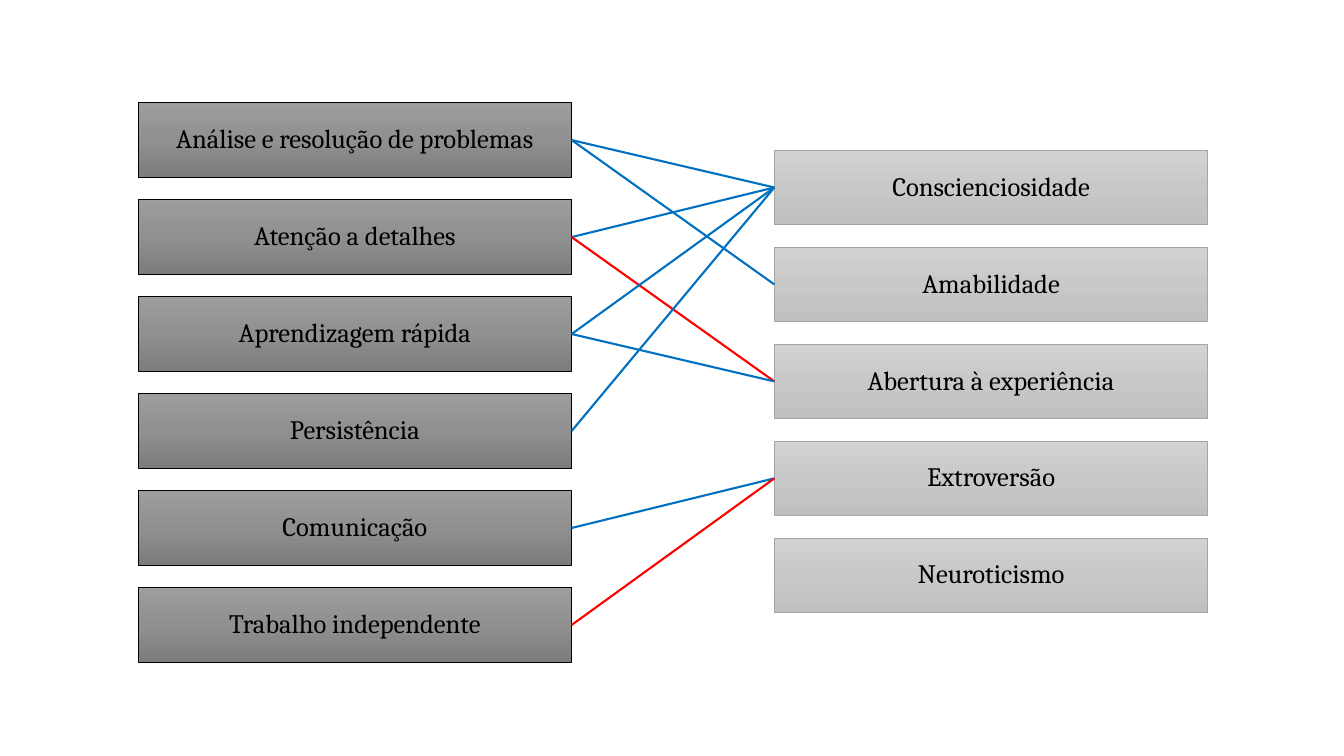
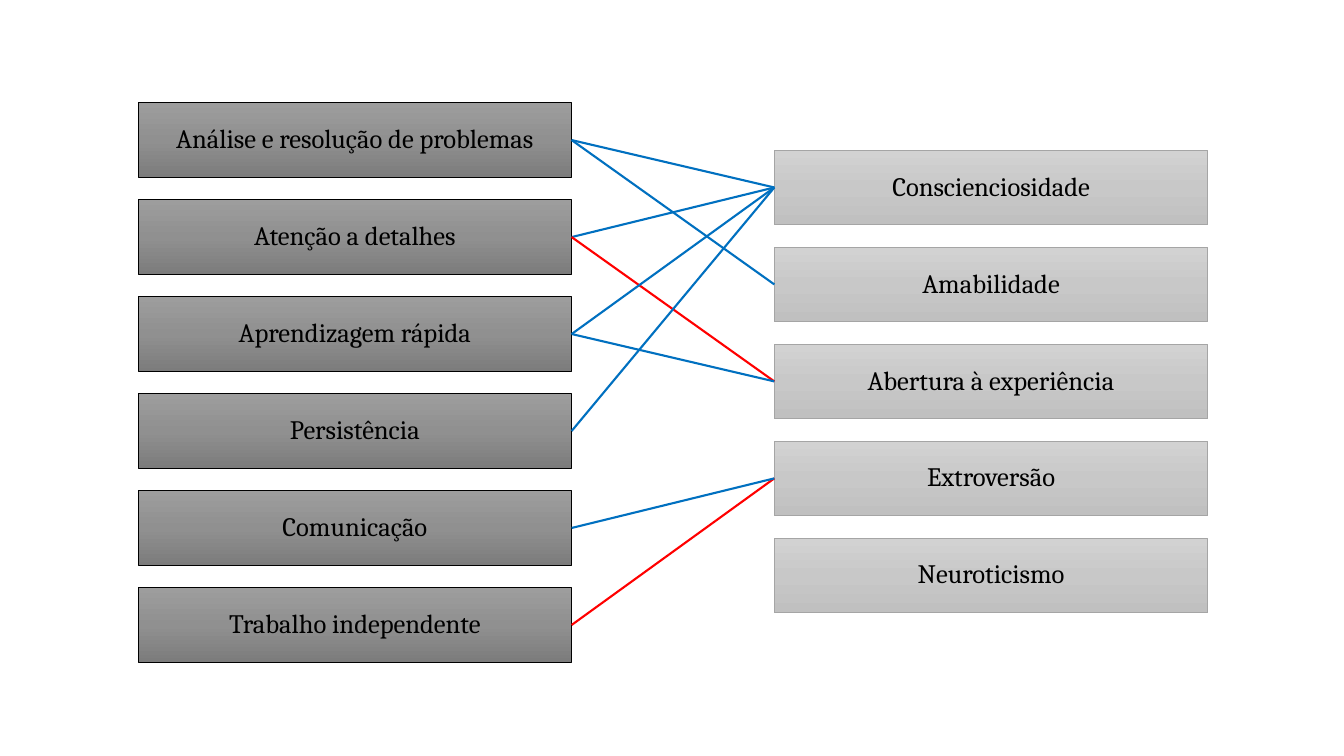
from copy import deepcopy

from pptx import Presentation
from pptx.dml.color import RGBColor
from pptx.enum.shapes import MSO_CONNECTOR, MSO_SHAPE
from pptx.enum.text import MSO_ANCHOR, PP_ALIGN
from pptx.oxml.ns import qn
from pptx.util import Inches, Pt
from lxml import etree

RECT = MSO_SHAPE.RECTANGLE
STRAIGHT = MSO_CONNECTOR.STRAIGHT
MIDDLE = MSO_ANCHOR.MIDDLE
CENTER = PP_ALIGN.CENTER
LEFT_SIDE, RIGHT_SIDE = 1, 3

COLORS = {"text": "000000", "positive": "0070C0", "negative": "FF0000"}
FONT = "Cambria"
BOX_W, BOX_H, PITCH = 4.3, 0.74, 0.962

COLUMNS = [
    {
        "left": 1.37, "top": 1.02, "line": "000000",
        "gradient": ["9D9D9D", "909090", "7C7C7C"],
        "labels": ["Análise e resolução de problemas", "Atenção a detalhes",
                   "Aprendizagem rápida", "Persistência", "Comunicação",
                   "Trabalho independente"],
    },
    {
        "left": 7.68, "top": 1.49, "line": "A5A5A5",
        "gradient": ["D2D2D2", "C8C8C8", "C0C0C0"],
        "labels": ["Conscienciosidade", "Amabilidade", "Abertura à experiência",
                   "Extroversão", "Neuroticismo"],
    },
]

# (skill row, trait row) from back to front, one list per slide
SLIDE_LINKS = [
    [(0, 0), (1, 0), (0, 1), (1, 2), (2, 0), (3, 0), (4, 3), (5, 3), (2, 2)],
    [(0, 0), (1, 0), (0, 1), (1, 2), (5, 3), (2, 0), (2, 2), (3, 0), (4, 3)],
]
NEGATIVE_LINKS = {(1, 2), (5, 3)}


def rgb(hex_color):
    return RGBColor.from_string(hex_color)


def fill_gradient(shape, hex_colors):
    """Vertical gradient with three evenly spaced stops."""
    fill = shape.fill
    fill.gradient()
    fill.gradient_angle = 270
    stop_list = shape._element.spPr.find(".//" + qn("a:gsLst"))
    stop_list.append(deepcopy(stop_list[0]))
    for i, (stop, color) in enumerate(zip(fill.gradient_stops, hex_colors)):
        stop.position = i / 2
        stop.color.rgb = rgb(color)


def add_box(s, column, row):
    sp = s.shapes.add_shape(RECT, Inches(column["left"]),
                            Inches(column["top"] + row * PITCH),
                            Inches(BOX_W), Inches(BOX_H))
    sp.shadow.inherit = False
    fill_gradient(sp, column["gradient"])
    sp.line.color.rgb = rgb(column["line"])
    sp.line.width = Pt(0.5)
    tf = sp.text_frame
    tf.word_wrap = True
    tf.vertical_anchor = MIDDLE
    tf.margin_left = tf.margin_right = Inches(0.01)
    tf.margin_top = tf.margin_bottom = Inches(0.01)
    p = tf.paragraphs[0]
    p.alignment = CENTER
    p.line_spacing = 0.9
    r = p.add_run()
    r.text = column["labels"][row]
    r.font.name = FONT
    r.font.size = Pt(19)
    r.font.color.rgb = rgb(COLORS["text"])
    return sp


def add_link(s, skill, trait, color):
    line = s.shapes.add_connector(STRAIGHT, 0, 0, 0, 0)
    line.begin_connect(skill, RIGHT_SIDE)
    line.end_connect(trait, LEFT_SIDE)
    line.line.color.rgb = rgb(color)
    line.line.width = Pt(1.5)
    etree.SubElement(line._element.spPr, qn("a:effectLst"))


def main():
    prs = Presentation()
    prs.slide_width, prs.slide_height = Inches(13.33), Inches(7.5)
    for links in SLIDE_LINKS:
        s = prs.slides.add_slide(prs.slide_layouts[6])
        skills, traits = [
            [add_box(s, column, row) for row in range(len(column["labels"]))]
            for column in COLUMNS
        ]
        for link in links:
            kind = "negative" if link in NEGATIVE_LINKS else "positive"
            add_link(s, skills[link[0]], traits[link[1]], COLORS[kind])
    prs.save("out.pptx")


if __name__ == "__main__":
    main()
